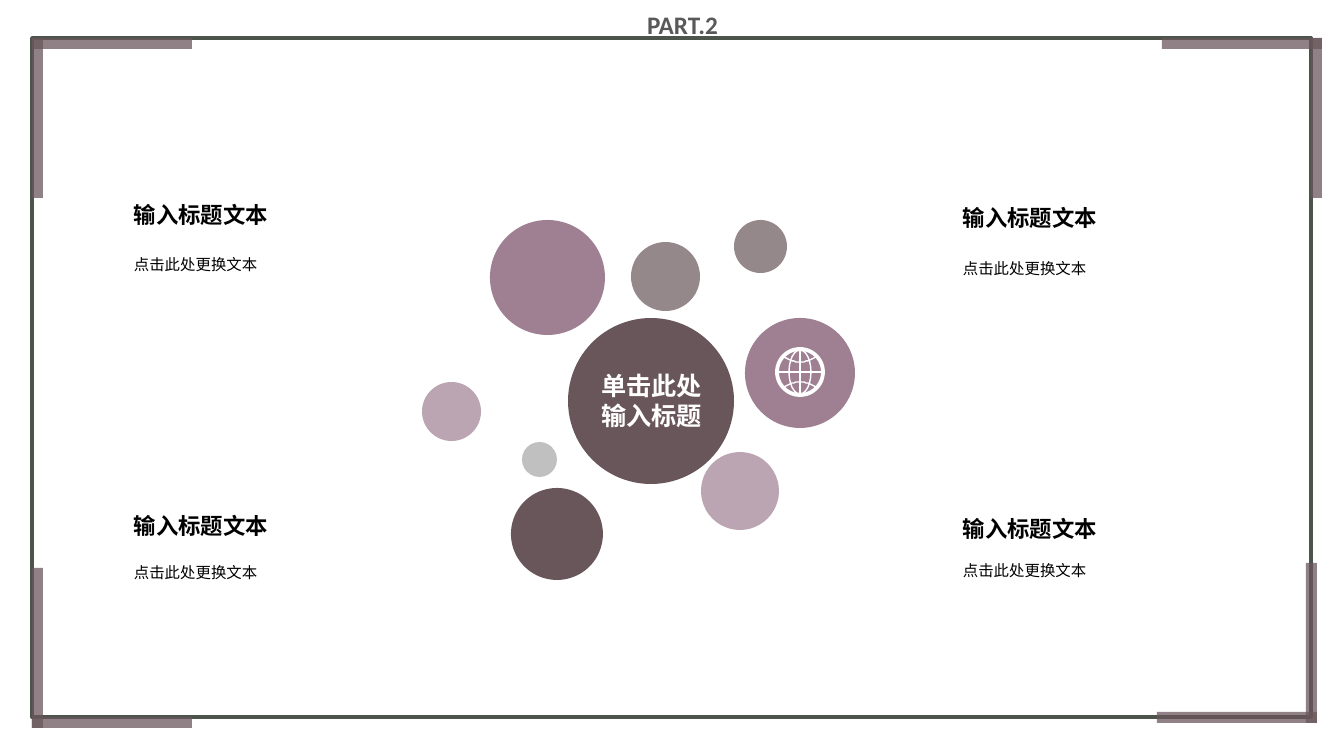
"""Build a framed slide with a bubble cluster and four captions."""
from lxml.etree import SubElement
from pptx import Presentation
from pptx.dml.color import RGBColor
from pptx.enum.shapes import MSO_CONNECTOR, MSO_SHAPE
from pptx.enum.text import MSO_ANCHOR as Anchor, MSO_AUTO_SIZE as AutoSize, PP_ALIGN as Align
from pptx.oxml.ns import qn
from pptx.util import Emu, Pt

SCALE = 914400 / 100.8
PLUM, MAUVE, GREY, WHITE = "69565B", "9F7F92", "A6A6A6", "FFFFFF"
CORNER, BAR = 160, 11
CORNERS = [(32, 38, 0, 0), (1162, 38, 1, 0), (32, 568, 0, 1), (1157, 563, 1, 1)]
BUBBLES = [
    (422, 382, 59, MAUVE, 70),
    (568, 318, 166, PLUM, 100),
    (701, 452, 78, MAUVE, 70),
    (734, 220, 53, PLUM, 70),
    (522, 442, 35, GREY, 70),
    (631, 242, 69, PLUM, 70),
    (745, 318, 110, MAUVE, 100),
    (490, 220, 115, MAUVE, 100),
    (511, 488, 92, PLUM, 100),
]
CAPTIONS = [(124, 196, 241), (953, 199, 245), (124, 507, 549), (953, 510, 547)]


def px(length):
    return Emu(round(length * SCALE))


def color(hex_code):
    return RGBColor.from_string(hex_code)


def paint(shape, fill=None, line=None, weight=1, opacity=100):
    shape.shadow.inherit = False
    if fill:
        shape.fill.solid()
        shape.fill.fore_color.rgb = color(fill)
        if opacity < 100:
            tint = shape._element.spPr.find(qn("a:solidFill"))[0]
            SubElement(tint, qn("a:alpha"), val=str(opacity * 1000))
    else:
        shape.fill.background()
    if line:
        shape.line.color.rgb = color(line)
        shape.line.width = Pt(weight)
    else:
        shape.line.fill.background()


def add_preset(slide, kind, left, top, width, height, **style):
    shape = slide.shapes.add_shape(kind, px(left), px(top), px(width), px(height))
    paint(shape, **style)


def add_line(slide, x1, y1, x2, y2):
    line = slide.shapes.add_connector(MSO_CONNECTOR.STRAIGHT, px(x1), px(y1), px(x2), px(y2))
    line.line.color.rgb = color(WHITE)
    line.line.width = Pt(1)
    SubElement(line._element.spPr, qn("a:effectLst"))


def write(frame, lines, size, ink, bold=False, align=Align.LEFT, spacing=None, font="Calibri"):
    frame.word_wrap = True
    frame.vertical_anchor = Anchor.TOP
    frame.auto_size = AutoSize.NONE
    frame.text = "\n".join(lines)
    for paragraph in frame.paragraphs:
        paragraph.alignment = align
        paragraph.line_spacing = spacing
        paragraph.font.name = font
        paragraph.font.size = Pt(size)
        paragraph.font.bold = bold
        paragraph.font.color.rgb = color(ink)


def add_text(slide, left, top, width, height, lines, size, ink, **style):
    box = slide.shapes.add_textbox(px(left), px(top), px(width), px(height))
    write(box.text_frame, lines, size, ink, **style)


def add_corner(slide, left, top, at_right, at_bottom):
    reach = CORNER - BAR
    add_preset(slide, MSO_SHAPE.RECTANGLE, left, top + at_bottom * reach, CORNER, BAR,
               fill=PLUM, opacity=74)
    add_preset(slide, MSO_SHAPE.RECTANGLE, left + at_right * reach, top, BAR, CORNER,
               fill=PLUM, opacity=74)


def add_globe(slide, x, y):
    for half_width, half_height, weight in [(23, 23, 2.75), (11, 22, 1)]:
        add_preset(slide, MSO_SHAPE.OVAL, x - half_width, y - half_height,
                   2 * half_width, 2 * half_height, line=WHITE, weight=weight)
    add_line(slide, x - 22, y, x + 22, y)
    add_line(slide, x, y - 22, x, y + 22)
    for side in (-1, 1):
        points = [(x + step, y + side * (10 + 5 * (step / 16) ** 2))
                  for step in range(-16, 17, 2)]
        builder = slide.shapes.build_freeform(*points[0], scale=SCALE)
        builder.add_line_segments(points[1:], close=False)
        paint(builder.convert_to_shape(), line=WHITE)


def main():
    deck = Presentation()
    deck.slide_width, deck.slide_height = px(1344), px(756)
    slide = deck.slides.add_slide(deck.slide_layouts[5])

    part = slide.shapes.title
    part.left, part.top, part.width, part.height = px(637), px(4), px(202), px(40)
    write(part.text_frame, ["PART.2"], 18, "595959", bold=True)

    add_preset(slide, MSO_SHAPE.RECTANGLE, 32, 38, 1279, 679, line="4C544C", weight=2.5)
    for corner in CORNERS:
        add_corner(slide, *corner)
    for left, top, size, fill, opacity in BUBBLES:
        add_preset(slide, MSO_SHAPE.OVAL, left, top, size, size, fill=fill, opacity=opacity)
    add_globe(slide, 800, 372)

    add_text(slide, 591, 365, 121, 72, ["单击此处", "输入标题"], 18, WHITE,
             bold=True, align=Align.CENTER, font="Noto Sans CJK SC")
    for left, heading_top, body_top in CAPTIONS:
        add_text(slide, left, body_top, 379, 65, ["点击此处更换文本"], 11, "000000", spacing=1.5)
        add_text(slide, left, heading_top, 379, 37, ["输入标题文本"], 16, "000000",
                 bold=True, align=Align.JUSTIFY)
    deck.save("out.pptx")


if __name__ == "__main__":
    main()
